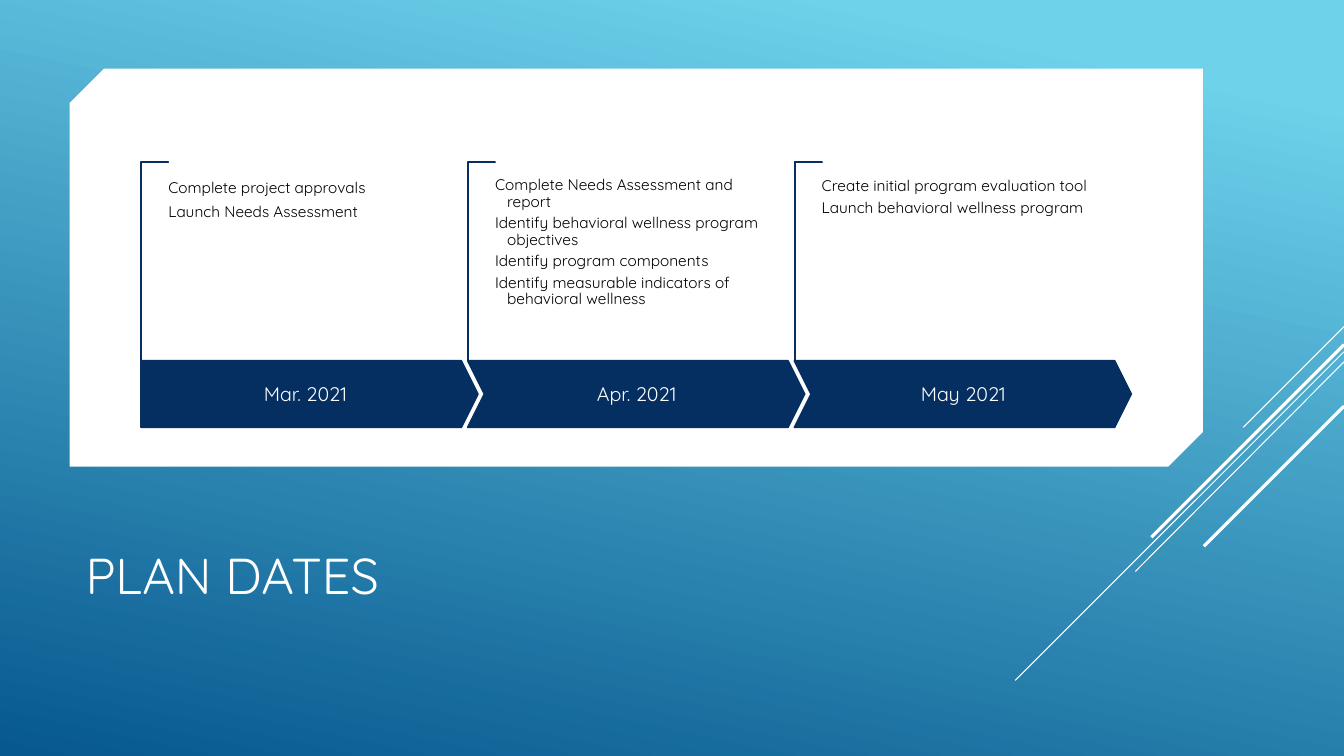
from dataclasses import dataclass
from lxml.etree import SubElement
from pptx import Presentation
from pptx.dml.color import RGBColor as Rgb
from pptx.enum.shapes import MSO_CONNECTOR as Conn, MSO_SHAPE as Kind
from pptx.enum.text import MSO_ANCHOR as Anchor, PP_ALIGN as Align
from pptx.oxml.ns import qn
from pptx.util import Inches, Pt


@dataclass(frozen=True)
class Theme:
    font: str = "Quicksand"
    white: Rgb = Rgb(0xFF, 0xFF, 0xFF)
    black: Rgb = Rgb(0, 0, 0)
    navy: Rgb = Rgb(0x05, 0x2F, 0x61)
    sky: Rgb = Rgb(0x6E, 0xD2, 0xEB)
    deep: Rgb = Rgb(0x06, 0x58, 0x8E)
    title: int = 36
    month: int = 14
    body: int = 11
    edge: float = 1.25


@dataclass(frozen=True)
class Box:
    x: float
    y: float
    w: float
    h: float

    def emu(self) -> list:
        return [Inches(v) for v in (self.x, self.y, self.w, self.h)]


@dataclass(frozen=True)
class Ray:
    top: float
    x: float
    y: float
    width: float


@dataclass(frozen=True)
class Stage:
    month: str
    tasks: tuple
    kind: Kind = Kind.CHEVRON
    label: Box = Box(0.17, 3.58, 3.01, 0.66)
    top: float = 1.77
    hang: float = 0.12
    lead: float = 0.9


theme = Theme()
WIDE, HIGH = 13.33, 7.5
LEFT, STEP = 1.4, 3.24
TOP, BAR = 1.61, 3.58

RAYS = (
    Ray(3.24, 12.33, 4.24, 0.75),
    Ray(3.49, 10.07, 6.75, 0.75),
    Ray(3.59, 11.26, 5.67, 0.75),
    Ray(3.42, 11.42, 5.33, 2.25),
    Ray(4.03, 11.94, 5.42, 2.25),
)
STAGES = (
    Stage("Mar. 2021",
          ("Complete project approvals", "Launch Needs Assessment"),
          kind=Kind.PENTAGON, label=Box(0, 3.58, 3.26, 0.66), hang=0, lead=1),
    Stage("Apr. 2021",
          ("Complete Needs Assessment and report",
           "Identify behavioral wellness program objectives",
           "Identify program components",
           "Identify measurable indicators of behavioral wellness"),
          top=1.76),
    Stage("May 2021",
          ("Create initial program evaluation tool",
           "Launch behavioral wellness program")),
)

deck = Presentation()
deck.slide_width, deck.slide_height = Inches(WIDE), Inches(HIGH)
slide = deck.slides.add_slide(deck.slide_layouts[6])


def shape(kind: Kind, box: Box, fill: Rgb, line: Rgb | None = None,
          adj: tuple = ()):
    item = slide.shapes.add_shape(kind, *box.emu())
    item.shadow.inherit = False
    item.fill.solid()
    item.fill.fore_color.rgb = fill
    if line is None:
        item.line.fill.background()
    else:
        item.line.color.rgb = line
        item.line.width = Pt(theme.edge)
    for i, value in enumerate(adj):
        item.adjustments[i] = value
    return item


def text(box: Box, lines: tuple, size: int, color: Rgb, pad: tuple = (0, 0),
         anchor: Anchor = Anchor.TOP, align: Align = Align.LEFT,
         after: float = 0, hang: float = 0, lead: float = 1) -> None:
    frame = slide.shapes.add_textbox(*box.emu()).text_frame
    frame.word_wrap = True
    frame.vertical_anchor = anchor
    frame.margin_left = frame.margin_right = Inches(pad[0])
    frame.margin_top = frame.margin_bottom = Inches(pad[1])
    for i, words in enumerate(lines):
        para = frame.add_paragraph() if i else frame.paragraphs[0]
        para.alignment = align
        para.space_after = Pt(after)
        para.line_spacing = float(lead)
        if hang:
            props = para._p.get_or_add_pPr()
            props.set("marL", str(Inches(hang)))
            props.set("indent", str(-Inches(hang)))
        run = para.add_run()
        run.text = words
        run.font.name = theme.font
        run.font.size = Pt(size)
        run.font.color.rgb = color


def draw_ray(ray: Ray) -> None:
    ends = [Inches(v) for v in (WIDE, ray.top, ray.x, ray.y)]
    line = slide.shapes.add_connector(Conn.STRAIGHT, *ends)
    line.line.color.rgb = theme.white
    line.line.width = Pt(ray.width)
    SubElement(line._element.spPr, qn("a:effectLst"))


def draw_stage(stage: Stage, x: float) -> None:
    tall, thin = BAR - TOP, 0.27
    frame = Box(x + (thin - tall) / 2, TOP + (tall - thin) / 2, tall, thin)
    corner = shape(Kind.CORNER, frame, theme.white, theme.navy, (0.01, 0.01))
    corner.rotation = 90
    shape(stage.kind, Box(x, BAR, 3.34, 0.66), theme.navy, theme.navy, (0.25,))
    label = stage.label
    text(Box(x + label.x, label.y, label.w, label.h), (stage.month,),
         theme.month, theme.white, (0.1, 0.19), Anchor.MIDDLE, Align.CENTER)
    text(Box(x + thin, stage.top, 2.71, 1.34), stage.tasks, theme.body,
         theme.black, after=3.4, hang=stage.hang, lead=stage.lead)


back = shape(Kind.RECTANGLE, Box(0, 0, WIDE, HIGH), theme.sky)
back.fill.gradient()
back.fill.gradient_angle = 258
shades = ((0.1, theme.sky), (1, theme.deep))
for stop, (place, color) in zip(back.fill.gradient_stops, shades):
    stop.position = place
    stop.color.rgb = color

text(Box(0.75, 4.91, 9.33, 1.65), ("PLAN DATES",), theme.title, theme.white,
     (0.1, 0.05), Anchor.MIDDLE, lead=0.9)
shape(Kind.SNIP_2_DIAG_RECTANGLE, Box(0.69, 0.68, 11.24, 3.95), theme.white,
      adj=(0.087, 0))
for ray in RAYS:
    draw_ray(ray)
for i, stage in enumerate(STAGES):
    draw_stage(stage, LEFT + i * STEP)

deck.save("out.pptx")
